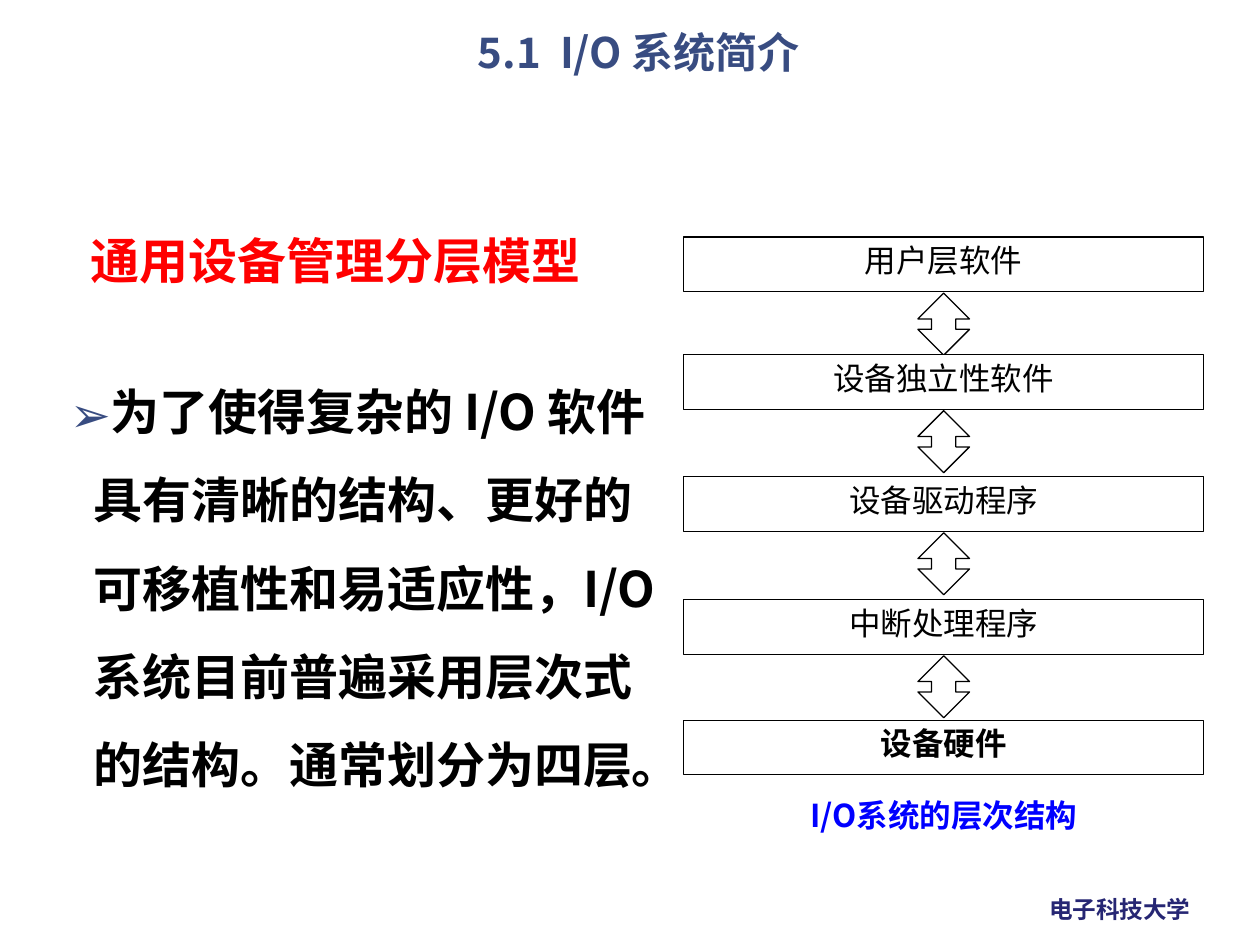
from lxml import etree
from pptx import Presentation
from pptx.dml.color import RGBColor
from pptx.enum.shapes import MSO_SHAPE
from pptx.enum.text import MSO_ANCHOR, PP_ALIGN
from pptx.oxml.ns import qn
from pptx.util import Cm, Pt

RECT, ARROW = MSO_SHAPE.RECTANGLE, MSO_SHAPE.UP_DOWN_ARROW
LEFT, MID = PP_ALIGN.LEFT, PP_ALIGN.CENTER
TOP = MSO_ANCHOR.TOP
FONT = "Noto Sans CJK SC"
HUES = {"navy": "384C81", "dark": "262673", "red": "FF0000",
        "blue": "0000FF", "black": "000000", "white": "FFFFFF"}


def hue(name):
    return RGBColor.from_string(HUES[name])


def write(shape, text, size=18, color="black", bold=True, align=MID,
          space=1.0, wrap=True, inset=0.13):
    frame = shape.text_frame
    frame.word_wrap = wrap
    frame.vertical_anchor = TOP
    frame.margin_left = frame.margin_right = Cm(0.25)
    frame.margin_top, frame.margin_bottom = Cm(inset), Cm(0.13)
    para = frame.paragraphs[0]
    para.alignment, para.line_spacing = align, space
    para.space_before = Pt(0)
    run = para.add_run()
    run.text = text
    font = run.font
    font.name, font.size, font.bold = FONT, Pt(size), bold
    font.color.rgb = hue(color)
    etree.SubElement(run._r.get_or_add_rPr(), qn("a:ea"), typeface=FONT)
    return para


deck = Presentation()
deck.slide_width, deck.slide_height = Cm(25.4), Cm(19.05)
slide = deck.slides.add_slide(deck.slide_layouts[1])
shapes = slide.shapes

# Title and body
title, body = slide.placeholders
title.left, title.top, title.width, title.height = Cm(2.69), Cm(0.51), Cm(20.37), Cm(1.52)
write(title, "5.1  I/O 系统简介", size=24, color="navy", space=0.9)

body.left, body.top, body.width, body.height = Cm(1.16), Cm(6.97), Cm(12.66), Cm(8.94)
para = write(body, "为了使得复杂的 I/O 软件具有清晰的结构、更好的可移植性和易适应性，"
             "I/O系统目前普遍采用层次式的结构。通常划分为四层。",
             size=28, align=LEFT, space=1.5)
props = para._p.get_or_add_pPr()
props.set("marL", str(Cm(0.48)))
props.set("indent", str(-Cm(0.48)))
tint = etree.SubElement(props, qn("a:buClr"))
etree.SubElement(tint, qn("a:srgbClr"), val=HUES["navy"])
etree.SubElement(props, qn("a:buFont"), typeface=FONT)
etree.SubElement(props, qn("a:buChar"), char="➢")

# Free labels
labels = [
    ("通用设备管理分层模型", 1.58, 4.52, 10.49, 1.45, dict(size=28, color="red", align=LEFT, wrap=False)),
    ("I/O系统的层次结构", 15.33, 15.91, 7.39, 1.02, dict(color="blue")),
    ("电子科技大学", 20.9, 17.91, 3.4, 0.84, dict(size=13.5, color="dark", align=LEFT, wrap=False)),
]
for text, x, y, wide, high, look in labels:
    write(shapes.add_textbox(Cm(x), Cm(y), Cm(wide), Cm(high)), text, **look)

# Layer stack: a box per layer, an arrow between neighbours
layers = [("用户层软件", 4.78), ("设备独立性软件", 7.15), ("设备驱动程序", 9.61),
          ("中断处理程序", 12.09), ("设备硬件", 14.52)]
x, wide, high, thin = 13.78, 10.49, 1.1, 1.04
last = len(layers) - 1
for i, (name, y) in enumerate(layers):
    box = shapes.add_shape(RECT, Cm(x), Cm(y), Cm(wide), Cm(high))
    write(box, name, bold=i == last, inset=0.08)
    parts = [box]
    if i < last:
        arrow = shapes.add_shape(ARROW, Cm(x + (wide - thin) / 2), Cm(y + high + 0.03),
                                 Cm(thin), Cm(1.25))
        arrow.adjustments[0], arrow.adjustments[1] = 0.5, 0.47
        parts.append(arrow)
    for part in parts:
        part.shadow.inherit = False
        part.fill.solid()
        part.fill.fore_color.rgb = hue("white")
        part.line.color.rgb = hue("black")
        part.line.width = Pt(0.75)

deck.save("out.pptx")
